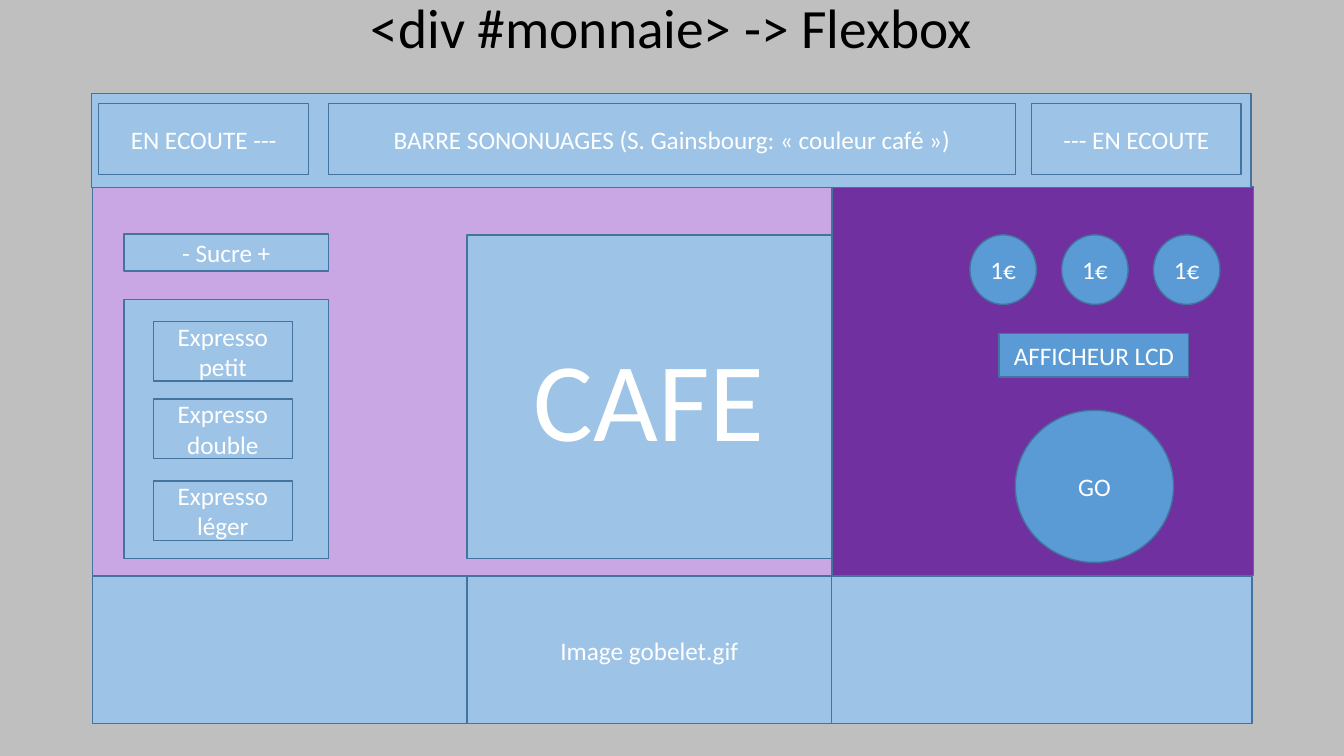
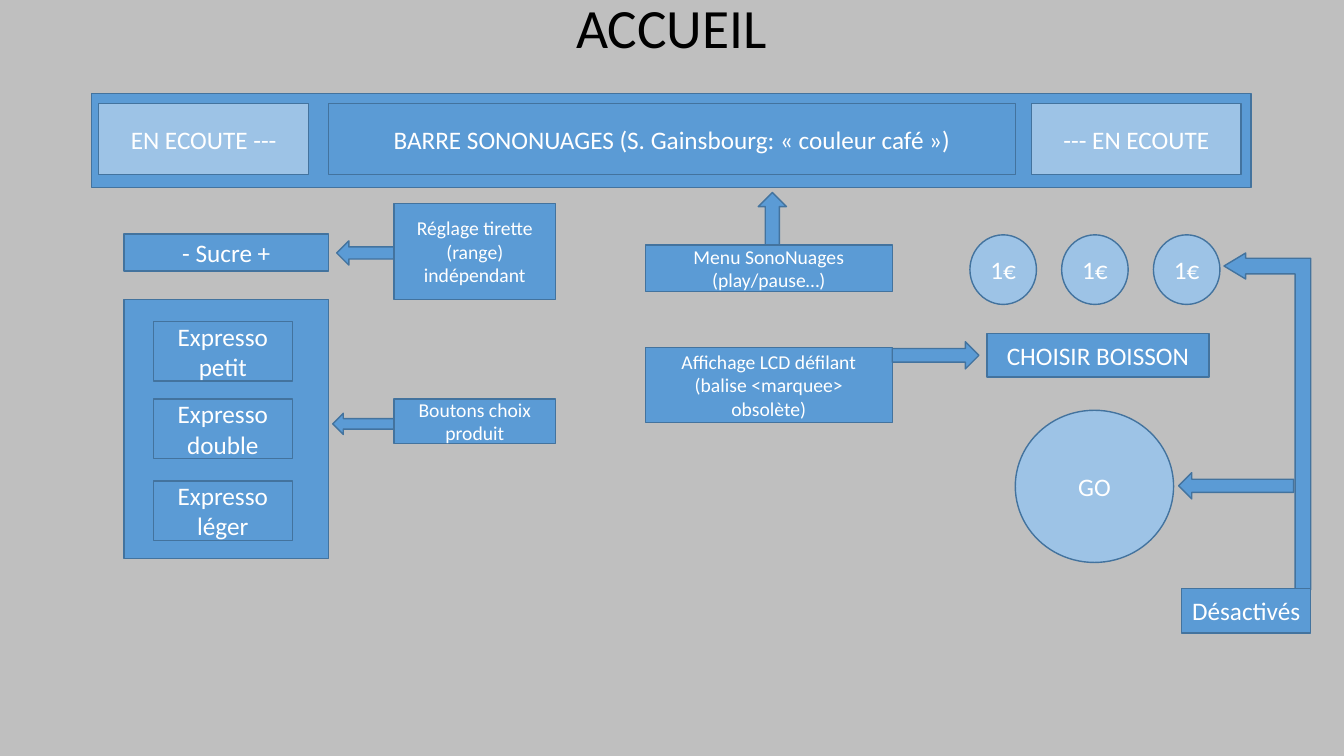
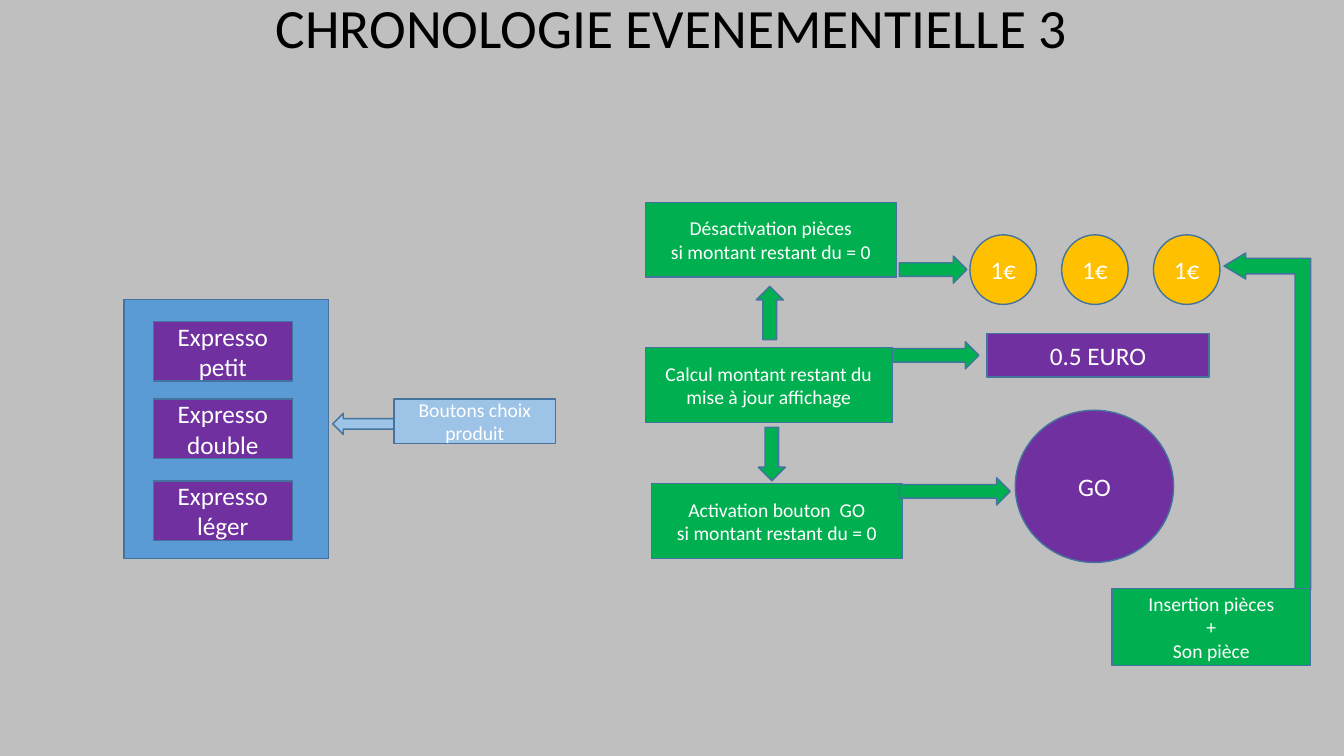
import dataclasses

import pptx
import pptx.dml.color
import pptx.enum.shapes
import pptx.enum.text
import pptx.util

Inches = pptx.util.Inches
Pt = pptx.util.Pt
Kind = pptx.enum.shapes.MSO_SHAPE


@dataclasses.dataclass(frozen=True)
class Theme:
    font: str = "Calibri"
    back: str = "BFBFBF"
    ink: str = "000000"
    white: str = "FFFFFF"
    edge: str = "43739E"
    blue: str = "5B9BD5"
    pale: str = "9DC3E6"
    lilac: str = "C9A6E4"
    plum: str = "7030A0"
    green: str = "00B050"
    gold: str = "FFC000"
    title: float = 39.6
    body: float = 18
    note: float = 14
    huge: float = 80


theme = Theme()


def tint(code):
    return pptx.dml.color.RGBColor.from_string(code)


class Deck:
    def __init__(self):
        self.show = pptx.Presentation()
        self.show.slide_width = Inches(13.33)
        self.show.slide_height = Inches(7.5)
        self.slide = None

    def page(self, title):
        self.slide = self.show.slides.add_slide(self.show.slide_layouts[6])
        fill = self.slide.background.fill
        fill.solid()
        fill.fore_color.rgb = tint(theme.back)
        area = self.slide.shapes.add_textbox(
            Inches(0.91), Inches(-0.01), Inches(11.5), Inches(0.63))
        self.label(area.text_frame, title, theme.title, theme.ink)
        area.text_frame.paragraphs[0].line_spacing = 0.9

    def label(self, frame, text, size, color):
        frame.word_wrap = True
        frame.vertical_anchor = pptx.enum.text.MSO_ANCHOR.MIDDLE
        frame.text = text
        for para in frame.paragraphs:
            para.alignment = pptx.enum.text.PP_ALIGN.CENTER
            para.font.name = theme.font
            para.font.size = Pt(size)
            para.font.color.rgb = tint(color)

    def shape(self, kind, place, fill, text="", size=theme.body):
        item = self.slide.shapes.add_shape(kind, *map(Inches, place))
        item.shadow.inherit = False
        item.fill.solid()
        item.fill.fore_color.rgb = tint(fill)
        item.line.color.rgb = tint(theme.edge)
        item.line.width = Pt(1)
        if text:
            self.label(item.text_frame, text, size, theme.white)
        return item

    def box(self, place, fill, text="", size=theme.body):
        self.shape(Kind.RECTANGLE, place, fill, text, size)

    def note(self, place, fill, text):
        self.box(place, fill, text, theme.note)

    def disc(self, place, fill, text):
        self.shape(Kind.OVAL, place, fill, text)

    def arrow(self, kind, place, fill, turn=0):
        item = self.shape(kind, place, fill)
        item.rotation = turn
        return item

    def bend(self, fill):
        item = self.arrow(Kind.BENT_UP_ARROW, (10.9, 3.75, 3.34, 0.86), fill, 270)
        for spot, value in enumerate((0.18, 0.15, 0.25)):
            item.adjustments[spot] = value

    def sugar(self, fill):
        self.box((1.23, 2.32, 2.03, 0.37), fill, "- Sucre +")

    def menu(self, panel, key):
        self.box((1.23, 2.97, 2.03, 2.57), panel)
        drinks = {"Expresso petit": 3.19, "Expresso\ndouble": 3.96, "Expresso léger": 4.77}
        for text, top in drinks.items():
            self.box((1.52, top, 1.38, 0.59), key, text)

    def till(self, coin, screen, go, text, left=9.79, width=2.2):
        for spot in range(3):
            self.disc((9.62 + 0.91 * spot, 2.33, 0.66, 0.69), coin, "1€")
        self.box((left, 3.31, width, 0.43), screen, text)
        self.disc((10.07, 4.07, 1.57, 1.51), go, "GO")

    def player(self, fill):
        self.box((0.91, 0.93, 11.5, 0.93), fill)
        self.box((0.98, 1.03, 2.08, 0.7), theme.pale, "EN ECOUTE ---")
        self.box((10.23, 1.03, 2.08, 0.7), theme.pale, "--- EN ECOUTE")
        self.box((3.26, 1.03, 6.81, 0.7), fill,
                 "BARRE SONONUAGES (S. Gainsbourg: « couleur café »)")

    def choice(self, fill):
        self.arrow(Kind.LEFT_ARROW, (3.3, 4.1, 0.68, 0.21), fill)
        self.note((3.91, 3.96, 1.6, 0.44), fill, "Boutons choix produit")

    def result(self, fill, text):
        self.note((6.4, 3.45, 2.45, 0.74), fill, text)
        self.arrow(Kind.RIGHT_ARROW, (8.85, 3.39, 0.86, 0.27), fill)


def layout(deck):
    deck.page("<div #monnaie> -> Flexbox")
    deck.box((0.92, 1.85, 11.5, 3.86), theme.lilac)
    deck.box((8.25, 1.85, 4.18, 3.86), theme.plum)
    deck.sugar(theme.pale)
    deck.menu(theme.pale, theme.pale)
    deck.box((4.63, 2.33, 3.62, 3.21), theme.pale, "CAFE", theme.huge)
    deck.till(theme.blue, theme.blue, theme.blue, "AFFICHEUR LCD", 9.91, 1.88)
    deck.player(theme.pale)
    deck.box((0.92, 5.72, 11.5, 1.46), theme.pale)
    deck.box((4.63, 5.72, 3.62, 1.46), theme.pale, "Image gobelet.gif")


def welcome(deck):
    blue = theme.blue
    deck.page("ACCUEIL")
    deck.sugar(blue)
    deck.menu(blue, blue)
    deck.till(theme.pale, blue, theme.pale, "CHOISIR BOISSON")
    deck.player(blue)
    deck.arrow(Kind.UP_ARROW, (7.52, 1.91, 0.28, 0.53), blue)
    deck.note((6.4, 2.43, 2.45, 0.46), blue, "Menu SonoNuages (play/pause…)")
    deck.arrow(Kind.LEFT_ARROW, (3.34, 2.39, 0.57, 0.24), blue)
    deck.note((3.91, 2.02, 1.6, 0.95), blue, "Réglage tirette (range) indépendant")
    deck.choice(blue)
    deck.bend(blue)
    deck.box((11.72, 5.84, 1.28, 0.44), blue, "Désactivés")
    deck.arrow(Kind.LEFT_ARROW, (11.69, 4.69, 1.14, 0.26), blue)
    deck.result(blue, "Affichage LCD défilant (balise <marquee> obsolète)")


def events(deck):
    green = theme.green
    deck.page("CHRONOLOGIE EVENEMENTIELLE 3")
    deck.menu(theme.blue, theme.plum)
    deck.till(theme.gold, theme.plum, theme.plum, "0.5 EURO")
    deck.choice(theme.pale)
    deck.bend(green)
    deck.note((11.03, 5.84, 1.97, 0.76), green, "Insertion pièces\n+\nSon pièce")
    deck.result(green, "Calcul montant restant du\nmise à jour affichage")
    deck.note((6.46, 4.8, 2.49, 0.74), green,
              "Activation bouton  GO\nsi montant restant du = 0")
    deck.note((6.4, 2.01, 2.49, 0.74), green,
              "Désactivation pièces\nsi montant restant du = 0")
    for place, turn in (
        ((8.92, 4.74, 1.1, 0.27), 0),
        ((7.39, 4.37, 0.53, 0.27), 90),
        ((8.92, 2.54, 0.67, 0.27), 0),
        ((7.37, 2.97, 0.53, 0.27), 270),
    ):
        deck.arrow(Kind.RIGHT_ARROW, place, green, turn)


def main():
    deck = Deck()
    for build in (layout, welcome, events):
        build(deck)
    deck.show.save("out.pptx")


if __name__ == "__main__":
    main()
